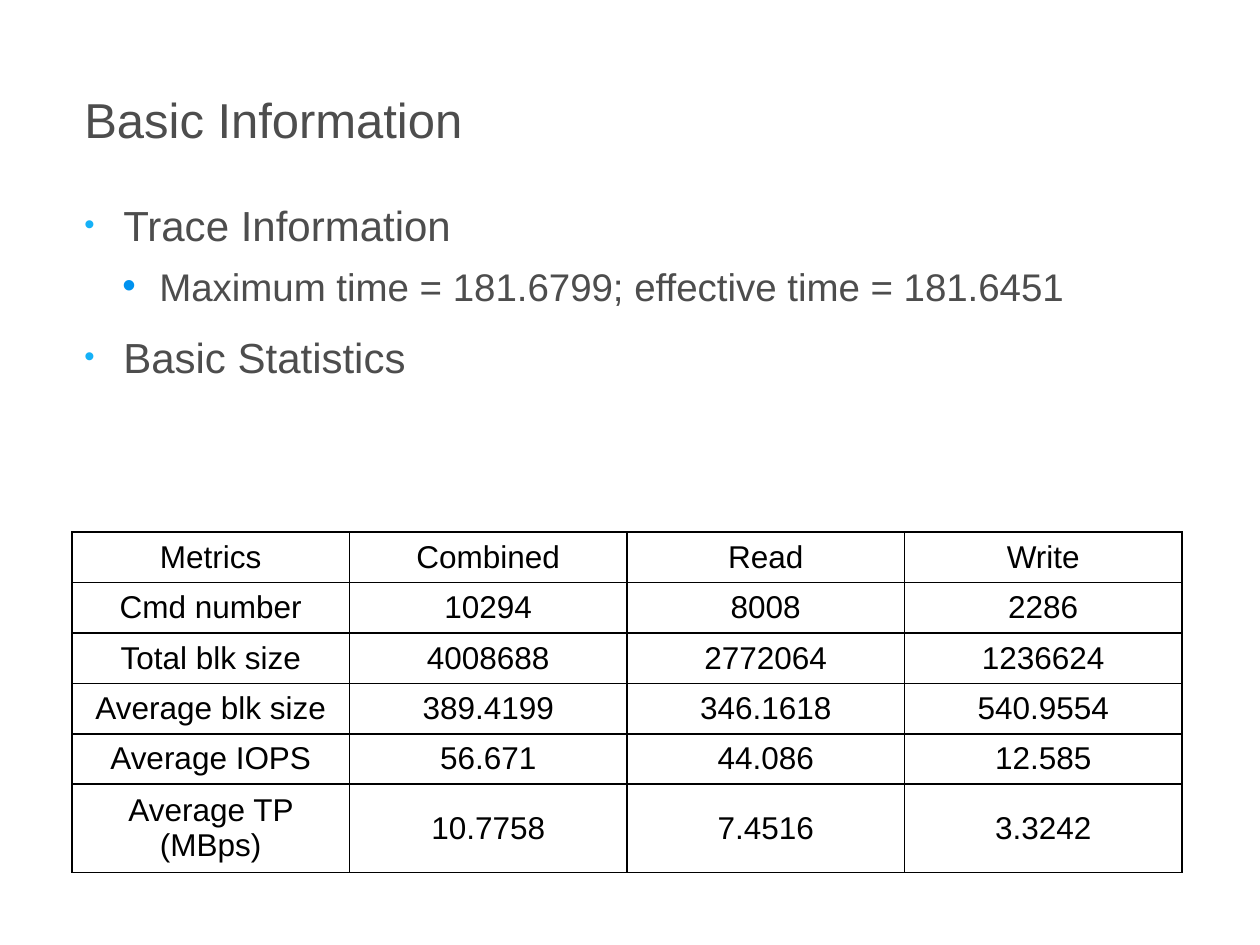
from lxml import etree
from pptx import Presentation
from pptx.dml.color import RGBColor
from pptx.enum.text import MSO_ANCHOR, PP_ALIGN
from pptx.oxml.ns import qn
from pptx.util import Emu, Pt

EMU_PER_PIXEL = 914400 / 126
MIDDLE = MSO_ANCHOR.MIDDLE
TOP = MSO_ANCHOR.TOP
CENTER = PP_ALIGN.CENTER
FONT = "Arial"
WHITE = RGBColor(0xFF, 0xFF, 0xFF)
BLACK = RGBColor(0x00, 0x00, 0x00)
GREY = RGBColor(0x4D, 0x4D, 0x4D)
SKY = RGBColor(0x15, 0xB1, 0xF7)
BLUE = RGBColor(0x00, 0x92, 0xEF)

LEFT, WIDTH = 72, 1110
LEVELS = [
    {"size": 24, "margin": 39, "hanging": 39, "color": SKY, "scale": 70},
    {"size": 22, "margin": 75, "hanging": 37, "color": BLUE, "scale": 100},
]
BULLETS = [
    (0, 3, "Trace Information"),
    (1, 7.5, "Maximum time = 181.6799; effective time = 181.6451"),
    (0, 13, "Basic Statistics"),
]
STATISTICS = [
    ("Metrics", "Combined", "Read", "Write"),
    ("Cmd number", "10294", "8008", "2286"),
    ("Total blk size", "4008688", "2772064", "1236624"),
    ("Average blk size", "389.4199", "346.1618", "540.9554"),
    ("Average IOPS", "56.671", "44.086", "12.585"),
    ("Average TP (MBps)", "10.7758", "7.4516", "3.3242"),
]


def px(value):
    return Emu(round(value * EMU_PER_PIXEL))


def add_run(paragraph, text, size, color):
    run = paragraph.add_run()
    run.text = text
    run.font.name = FONT
    run.font.size = Pt(size)
    run.font.color.rgb = color


def add_text_frame(slide, top, height, anchor, inset_top):
    shape = slide.shapes.add_textbox(px(LEFT), px(top), px(WIDTH), px(height))
    frame = shape.text_frame
    frame.word_wrap = True
    frame.vertical_anchor = anchor
    frame.margin_top = px(inset_top)
    return frame


def add_title(slide, text):
    frame = add_text_frame(slide, 89, 73, MIDDLE, 0)
    paragraph = frame.paragraphs[0]
    paragraph.line_spacing = 0.9
    add_run(paragraph, text, 28, GREY)


def set_bullet(paragraph, level):
    properties = paragraph._p.get_or_add_pPr()
    properties.set("marL", str(px(level["margin"])))
    properties.set("indent", str(-px(level["hanging"])))
    color = etree.SubElement(properties, qn("a:buClr"))
    etree.SubElement(color, qn("a:srgbClr"), val=str(level["color"]))
    etree.SubElement(properties, qn("a:buSzPct"), val=str(level["scale"] * 1000))
    etree.SubElement(properties, qn("a:buFont"), typeface=FONT)
    etree.SubElement(properties, qn("a:buChar"), char="•")


def add_bullets(slide, bullets):
    frame = add_text_frame(slide, 193, 307, TOP, 6)
    for index, (depth, space, text) in enumerate(bullets):
        paragraph = frame.add_paragraph() if index else frame.paragraphs[0]
        paragraph.level = depth
        paragraph.space_before = Pt(space)
        set_bullet(paragraph, LEVELS[depth])
        add_run(paragraph, text, LEVELS[depth]["size"], GREY)


def set_borders(cell):
    properties = cell._tc.get_or_add_tcPr()
    for position, side in enumerate(("a:lnL", "a:lnR", "a:lnT", "a:lnB")):
        line = etree.Element(qn(side), w=str(Pt(1)))
        fill = etree.SubElement(line, qn("a:solidFill"))
        etree.SubElement(fill, qn("a:srgbClr"), val=str(BLACK))
        properties.insert(position, line)


def fill_cell(cell, text):
    cell.fill.solid()
    cell.fill.fore_color.rgb = WHITE
    cell.vertical_anchor = MIDDLE
    set_borders(cell)
    paragraph = cell.text_frame.paragraphs[0]
    paragraph.alignment = CENTER
    add_run(paragraph, text, 18, BLACK)


def add_statistics_table(slide, rows):
    column_count = len(rows[0])
    frame = slide.shapes.add_table(
        len(rows), column_count, px(LEFT), px(532), px(WIDTH), px(268)
    )
    table = frame.table
    table.first_row = False
    table.horz_banding = False
    for column in table.columns:
        column.width = px(WIDTH / column_count)
    for row_index, row in enumerate(rows):
        for column_index, text in enumerate(row):
            fill_cell(table.cell(row_index, column_index), text)


def main():
    presentation = Presentation()
    presentation.slide_width = px(1260)
    presentation.slide_height = px(945)
    slide = presentation.slides.add_slide(presentation.slide_layouts[6])
    add_title(slide, "Basic Information")
    add_bullets(slide, BULLETS)
    add_statistics_table(slide, STATISTICS)
    presentation.save("out.pptx")


main()
